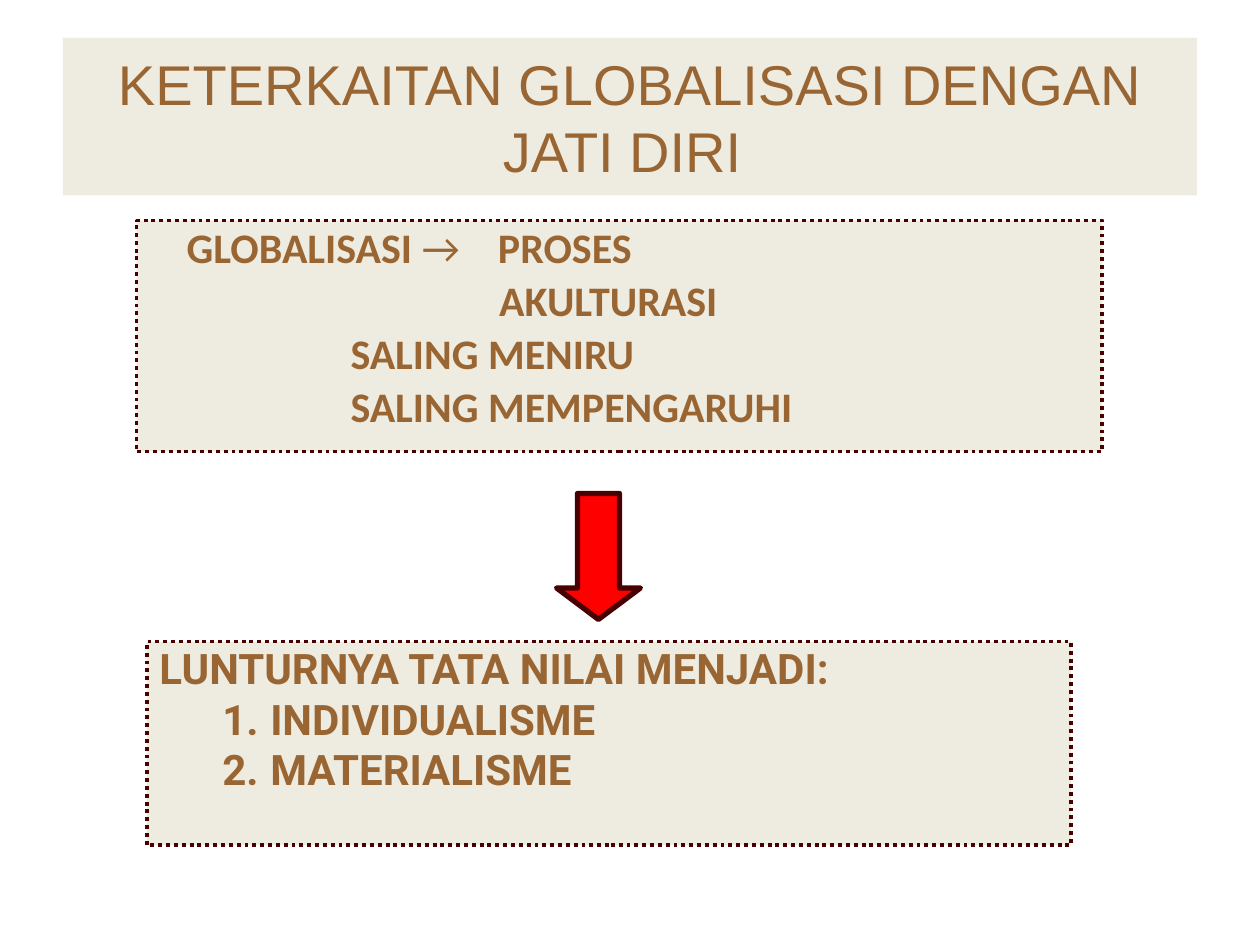
from lxml import etree
from pptx import Presentation
from pptx import util as u
from pptx.dml.color import RGBColor
from pptx.enum import dml, shapes, text
from pptx.oxml.ns import qn

COLORS = {"panel": "EEECE1", "text": "996633", "border": "480000", "arrow": "FF0000"}
CELL = 1 / 12  # grid of 120 columns by 90 rows, in inches


def color(name):
    return RGBColor.from_string(COLORS[name])


def write(para, words, font="Calibri", size=24, bold=True, tone="text"):
    span = para.add_run()
    span.text = words
    span.font.name, span.font.size, span.font.bold = font, u.Pt(size), bold
    span.font.color.rgb = color(tone)
    return span


def indent(para, left, first=0.0):
    props = para._p.get_or_add_pPr()
    props.set("marL", str(u.Inches(left)))
    props.set("indent", str(u.Inches(first)))
    return props


class Slide:
    def __init__(self, deck):
        self.page = deck.slides.add_slide(deck.slide_layouts[6])

    def shape(self, kind, col, row, cols, rows, fill, line=0, dash=None):
        place = [u.Inches(n * CELL) for n in (col, row, cols, rows)]
        box = self.page.shapes.add_shape(kind, *place)
        box.shadow.inherit = False
        box.fill.solid()
        box.fill.fore_color.rgb = color(fill)
        if line:
            box.line.color.rgb = color("border")
            box.line.width = u.Pt(line)
            if dash:
                box.line.dash_style = dash
        else:
            box.line.fill.background()
        return box

    def panel(self, *place, anchor=text.MSO_ANCHOR.TOP, **border):
        box = self.shape(shapes.MSO_SHAPE.RECTANGLE, *place, "panel", **border)
        box.text_frame.word_wrap = True
        box.text_frame.vertical_anchor = anchor
        return box.text_frame

    def paragraph(self, frame, first=False, align=text.PP_ALIGN.LEFT, spacing=1.0, before=0):
        para = frame.paragraphs[0] if first else frame.add_paragraph()
        para.alignment, para.line_spacing = align, spacing
        if not first:
            para.space_before = u.Pt(before)
        return para

    def down_arrow(self, *place):
        arrow = self.shape(shapes.MSO_SHAPE.DOWN_ARROW, *place, "arrow", line=3)
        arrow.adjustments[0], arrow.adjustments[1] = 0.5, 0.375


def main():
    deck = Presentation()
    deck.slide_width, deck.slide_height = u.Inches(10), u.Inches(7.5)
    slide = Slide(deck)
    dotted = {"line": 2.25, "dash": dml.MSO_LINE.ROUND_DOT}

    # Title band
    title = slide.panel(6, 3.6, 108, 15, anchor=text.MSO_ANCHOR.MIDDLE)
    para = slide.paragraph(title, first=True, align=text.PP_ALIGN.CENTER)
    write(para, "KETERKAITAN GLOBALISASI DENGAN JATI DIRI ", font="Arial", size=32, bold=False)

    # Globalisation and what it brings; the tab stops at the hanging indent
    process = slide.panel(13, 21, 92, 22, **dotted)
    para = slide.paragraph(process, first=True, spacing=0.9)
    indent(para, 2.77, -2.47)
    write(para, "GLOBALISASI ")
    write(para, "→\t", bold=False)
    write(para, "PROSES")
    for words, left in (("AKULTURASI", 2.78), ("SALING MENIRU", 1.6), ("SALING MEMPENGARUHI", 1.6)):
        para = slide.paragraph(process, spacing=0.9, before=4.5)
        indent(para, left)
        write(para, words)

    # Arrow to the outcome
    slide.down_arrow(53, 47, 8, 12)

    # Outcome with numbered list
    outcome = slide.panel(14, 61.1, 88, 19.4, **dotted)
    para = slide.paragraph(outcome, first=True, spacing=0.9)
    indent(para, 0.38, -0.38)
    write(para, "LUNTURNYA TATA NILAI MENJADI:", font="Roboto")
    for words in ("INDIVIDUALISME", "MATERIALISME"):
        para = slide.paragraph(outcome)
        para.level = 1
        props = indent(para, 0.88, -0.38)
        etree.SubElement(props, qn("a:buFont"), typeface="Roboto")
        etree.SubElement(props, qn("a:buAutoNum"), type="arabicPeriod")
        write(para, words, font="Roboto")

    deck.save("out.pptx")


if __name__ == "__main__":
    main()
